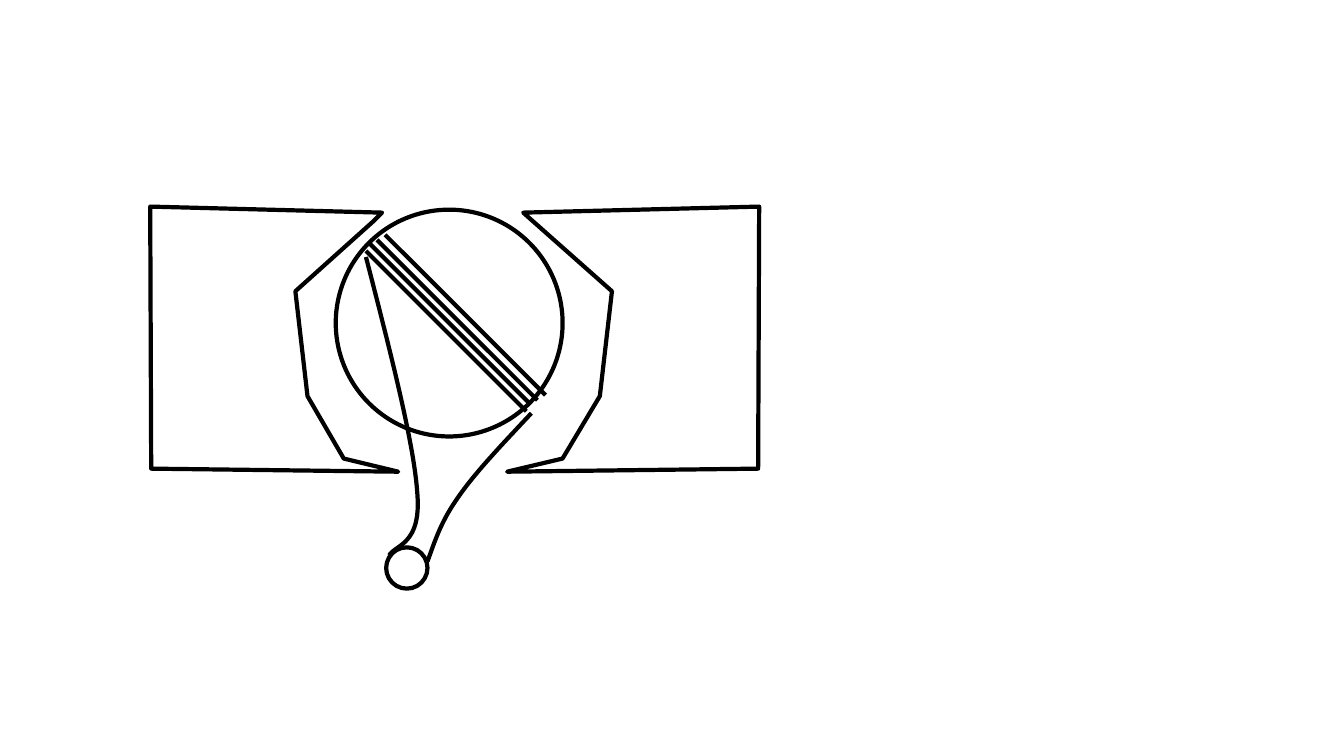
"""Draw a ball valve with its two body panels, stem lines and handle."""
from pptx import Presentation
from pptx.dml.color import RGBColor
from pptx.enum import shapes
from pptx.oxml.ns import qn
from pptx.util import Inches, Pt

INK = "000000"
LINE_WIDTH = 3
CURVE_STEPS = 24

BALL = (3.33, 2.08, 2.25)
KNOB = (3.83, 5.43, 0.41)
SLOT_STARTS = [(3.66, 2.41), (3.82, 2.33), (3.74, 2.38), (3.63, 2.49)]
SLOT_RUN = 1.59
PANELS = [
    [(5.19, 2.11), (5.28, 2.19), (6.07, 2.89), (5.95, 3.93),
     (5.58, 4.55), (5.03, 4.68), (7.52, 4.65), (7.53, 2.05)],
    [(3.79, 2.11), (3.71, 2.19), (2.93, 2.89), (3.05, 3.93),
     (3.41, 4.55), (3.95, 4.68), (1.5, 4.65), (1.49, 2.05)],
]
HANDLE_SIDES = [
    [(3.63, 2.55), (3.87, 3.48), (4.11, 4.41), (4.14, 4.9),
     (4.18, 5.4), (3.93, 5.4), (3.86, 5.51)],
    [(5.27, 4.1), (4.99, 4.4), (4.71, 4.69), (4.54, 4.94),
     (4.37, 5.18), (4.31, 5.38), (4.24, 5.57)],
]


def set_line(item, color):
    item.line.color.rgb = RGBColor.from_string(color)
    item.line.width = Pt(LINE_WIDTH)


def outline(shape):
    shape.shadow.inherit = False
    shape.fill.background()
    set_line(shape, INK)


def add_circle(page, left, top, size):
    outline(page.shapes.add_shape(
        shapes.MSO_SHAPE.OVAL, Inches(left), Inches(top), Inches(size), Inches(size)))


def add_slot(page, left, top):
    ends = (left, top, left + SLOT_RUN, top + SLOT_RUN)
    slot = page.shapes.add_connector(
        shapes.MSO_CONNECTOR.STRAIGHT, *(Inches(end) for end in ends))
    set_line(slot, INK)
    properties = slot.element.find(qn("p:spPr"))
    properties.append(properties.makeelement(qn("a:effectLst"), {}))


def add_outline(page, points, close):
    start, *rest = [(Inches(x), Inches(y)) for x, y in points]
    builder = page.shapes.build_freeform(*start)
    builder.add_line_segments(rest, close=close)
    outline(builder.convert_to_shape())


def curve_points(controls):
    points = [controls[0]]
    for first in range(0, len(controls) - 1, 3):
        knots = controls[first:first + 4]
        for step in range(1, CURVE_STEPS + 1):
            t = step / CURVE_STEPS
            weights = ((1 - t) ** 3, 3 * t * (1 - t) ** 2, 3 * t ** 2 * (1 - t), t ** 3)
            points.append(tuple(
                sum(weight * knot[axis] for weight, knot in zip(weights, knots))
                for axis in (0, 1)))
    return points


deck = Presentation()
deck.slide_width, deck.slide_height = Inches(13.33), Inches(7.5)
page = deck.slides.add_slide(deck.slide_layouts[6])

add_circle(page, *BALL)
for slot_start in SLOT_STARTS:
    add_slot(page, *slot_start)
for panel in PANELS:
    add_outline(page, panel, close=True)
for side in HANDLE_SIDES:
    add_outline(page, curve_points(side), close=False)
add_circle(page, *KNOB)

deck.save("out.pptx")
